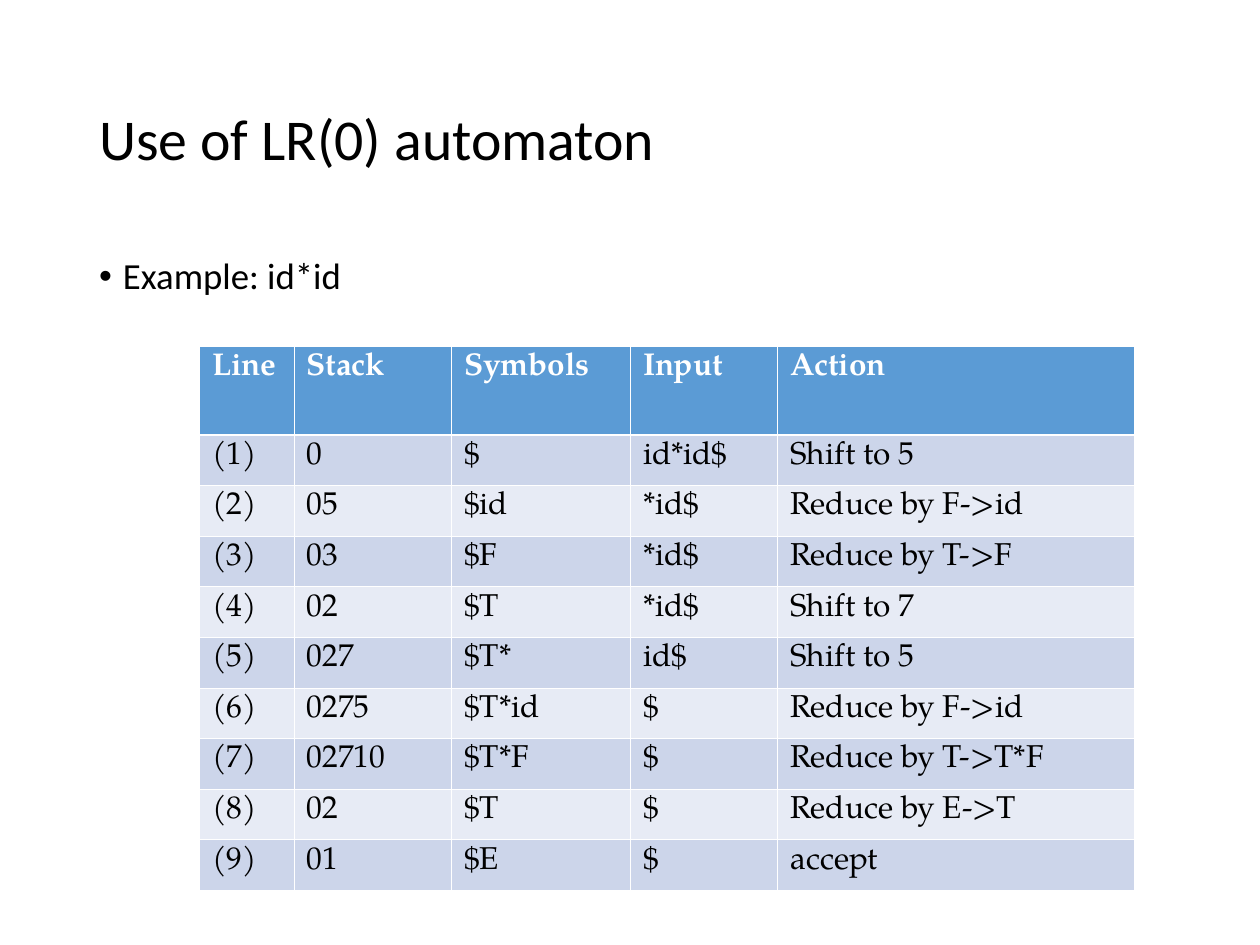
from dataclasses import dataclass

from lxml import etree
from pptx import Presentation
from pptx import util as u
from pptx.dml.color import RGBColor
from pptx.enum import text
from pptx.oxml import ns


@dataclass(frozen=True)
class Theme:
    ink: str = "000000"
    white: str = "FFFFFF"
    head: str = "5B9BD5"
    bands: tuple = ("CCD5EA", "E7EBF5")
    sans: str = "Calibri"
    serif: str = "TeX Gyre Pagella"
    title: float = 33
    body: float = 21
    cell: float = 18
    thin: float = 0.45
    thick: float = 1.47


class Deck:
    def __init__(self, theme, slide):
        self.theme = theme
        self.slide = slide

    def style(self, par, face, size, hue, bold=False):
        for run in par.runs:
            font = run.font
            font.name, font.size, font.bold = face, u.Pt(size), bold
            font.color.rgb = RGBColor.from_string(hue)

    def label(self, words, area, size, anchor):
        box = self.slide.shapes.add_textbox(*map(u.Cm, area))
        frame = box.text_frame
        frame.word_wrap = True
        frame.vertical_anchor = anchor
        frame.text = words
        par = frame.paragraphs[0]
        par.line_spacing = 0.9
        self.style(par, self.theme.sans, size, self.theme.ink)
        return par

    def bullet(self, words, area):
        par = self.label(words, area, self.theme.body, text.MSO_ANCHOR.TOP)
        props = par._p.get_or_add_pPr()
        dent = u.Cm(0.48)
        props.set("marL", str(dent))
        props.set("indent", str(-dent))
        font = etree.SubElement(props, ns.qn("a:buFont"))
        font.set("typeface", "Arial")
        mark = etree.SubElement(props, ns.qn("a:buChar"))
        mark.set("char", "•")

    def border(self, cell, widths):
        props = cell._tc.get_or_add_tcPr()
        for spot, (side, width) in enumerate(zip("LRTB", widths)):
            line = etree.Element(ns.qn(f"a:ln{side}"), w=str(u.Pt(width)))
            fill = etree.SubElement(line, ns.qn("a:solidFill"))
            etree.SubElement(fill, ns.qn("a:srgbClr"), val=self.theme.white)
            props.insert(spot, line)

    def table(self, rows, area, widths, heights):
        look = self.theme
        grid = self.slide.shapes.add_table(
            len(rows), len(widths), *map(u.Cm, area)).table
        grid.horz_banding = False
        for col, width in zip(grid.columns, widths):
            col.width = u.Cm(width)
        for row, height in zip(grid.rows, heights):
            row.height = u.Cm(height)
        for r, row in enumerate(rows):
            top = r == 0
            hue = look.head if top else look.bands[(r - 1) % 2]
            edges = (look.thin, look.thin,
                     look.thick if r == 1 else look.thin,
                     look.thick if top else look.thin)
            for c, words in enumerate(row):
                cell = grid.cell(r, c)
                cell.text_frame.text = words
                cell.fill.solid()
                cell.fill.fore_color.rgb = RGBColor.from_string(hue)
                self.border(cell, edges)
                self.style(cell.text_frame.paragraphs[0], look.serif,
                           look.cell, look.white if top else look.ink, top)


def main():
    show = Presentation()
    show.slide_width, show.slide_height = u.Cm(25.4), u.Cm(19.05)
    theme = Theme()
    deck = Deck(theme, show.slides.add_slide(show.slide_layouts[6]))

    deck.label("Use of LR(0) automaton", (1.75, 1.02, 21.92, 3.68),
               theme.title, text.MSO_ANCHOR.MIDDLE)
    deck.bullet("Example: id*id", (1.75, 5.08, 21.92, 12.09))

    moves = [
        ("0", "$", "id*id$", "Shift to 5"),
        ("05", "$id", "*id$", "Reduce by F->id"),
        ("03", "$F", "*id$", "Reduce by T->F"),
        ("02", "$T", "*id$", "Shift to 7"),
        ("027", "$T*", "id$", "Shift to 5"),
        ("0275", "$T*id", "$", "Reduce by F->id"),
        ("02710", "$T*F", "$", "Reduce by T->T*F"),
        ("02", "$T", "$", "Reduce by E->T"),
        ("01", "$E", "$", "accept"),
    ]
    rows = [("Line", "Stack", "Symbols", "Input", "Action")]
    rows += [(f"({n})", *move) for n, move in enumerate(moves, 1)]
    widths = (1.91, 3.17, 3.61, 2.97, 7.19)
    heights = [1.78] + [1.02] * len(moves)
    deck.table(rows, (4.02, 6.99, sum(widths), sum(heights)), widths, heights)

    show.save("out.pptx")


if __name__ == "__main__":
    main()
